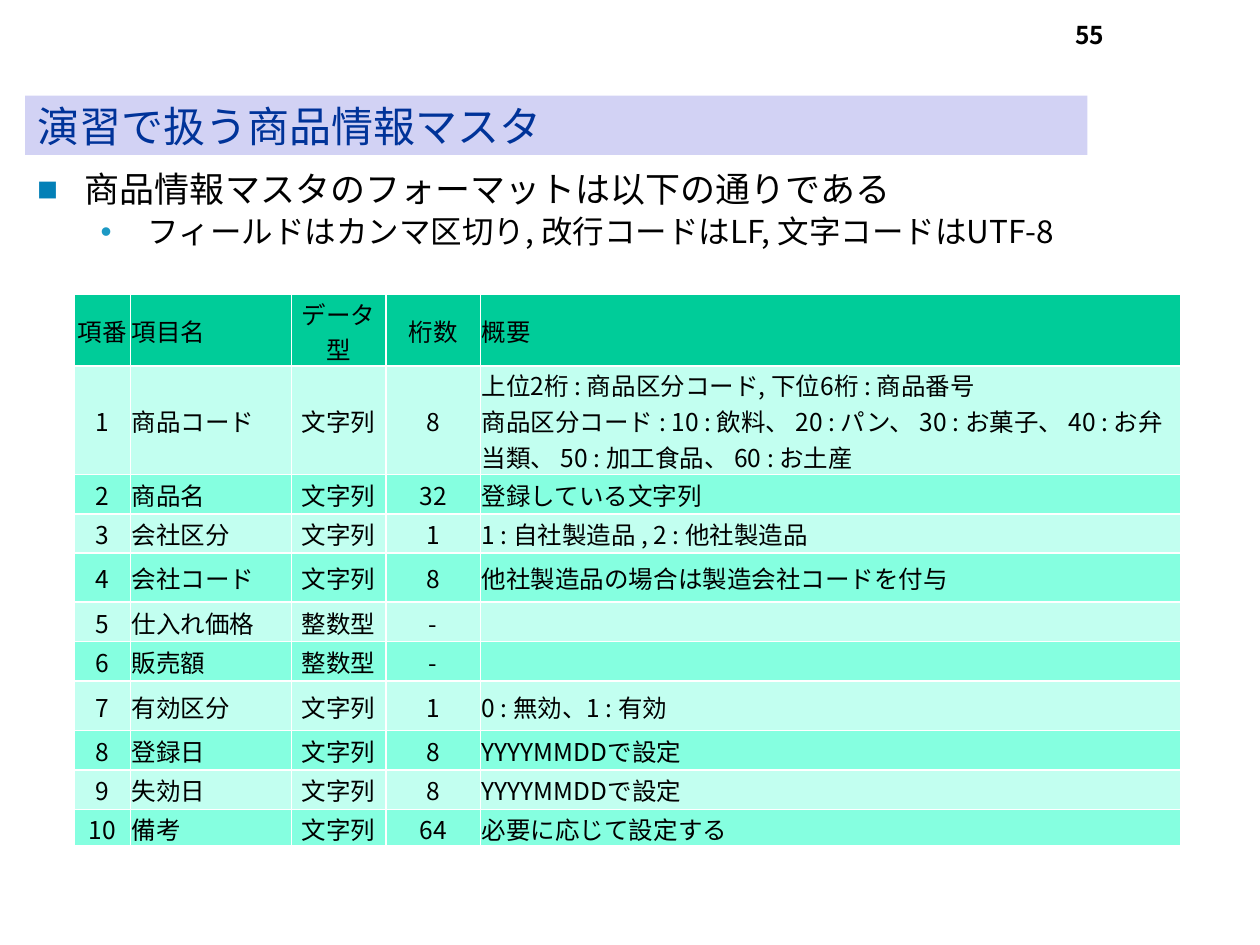
from lxml import etree
from pptx import Presentation
from pptx.dml.color import RGBColor
from pptx.enum import text as t
from pptx.oxml import ns
from pptx.util import Pt

FONT = "Noto Sans CJK JP"
COLORS = {
    "black": "000000", "white": "FFFFFF", "title": "003399", "title_bar": "D2D2F4",
    "square": "0380B7", "dot": "1C99C4",
    "header": "00CC99", "light": "C2FFF0", "dark": "85FFE0",
}
COLUMN_WIDTHS = [32, 92, 54, 54, 400]
ROW_HEIGHTS = [41, 62, 22.4, 22.4, 28.1, 22.6, 22.6, 28.1, 22.6, 22.6, 20.8]
FIELDS = [
    ("項番", "項目名", "データ型", "桁数", "概要"),
    ("1", "商品コード", "文字列", "8",
     "上位2桁 : 商品区分コード, 下位6桁 : 商品番号\v"
     "商品区分コード : 10 : 飲料、 20 : パン、 30 : お菓子、 40 : お弁当類、 50 : 加工食品、 60 : お土産"),
    ("2", "商品名", "文字列", "32", "登録している文字列"),
    ("3", "会社区分", "文字列", "1", "1 : 自社製造品 , 2 : 他社製造品"),
    ("4", "会社コード", "文字列", "8", "他社製造品の場合は製造会社コードを付与"),
    ("5", "仕入れ価格", "整数型", "-", ""),
    ("6", "販売額", "整数型", "-", ""),
    ("7", "有効区分", "文字列", "1", "0 : 無効、1 : 有効"),
    ("8", "登録日", "文字列", "8", "YYYYMMDDで設定"),
    ("9", "失効日", "文字列", "8", "YYYYMMDDで設定"),
    ("10", "備考", "文字列", "64", "必要に応じて設定する"),
]


def rgb(name):
    return RGBColor.from_string(COLORS[name])


def add_xml(parent, tag, **attributes):
    return etree.SubElement(parent, ns.qn(tag), attributes)


def write(paragraph, words, size=14, color="black", bold=False,
          align=t.PP_ALIGN.LEFT, spacing=None, before=None):
    paragraph.text = words
    paragraph.alignment = align
    if spacing:
        paragraph.line_spacing = spacing
    if before:
        paragraph.space_before = Pt(before)
    for run in paragraph.runs:
        run.font.size, run.font.bold, run.font.name = Pt(size), bold, FONT
        run.font.color.rgb = rgb(color)
        add_xml(run.font._element, "a:ea", typeface=FONT)
    for line_break in paragraph._p.findall(ns.qn("a:br")):
        add_xml(line_break, "a:rPr", sz=str(size * 100))
    if not words:
        add_xml(paragraph._p, "a:endParaRPr", sz=str(size * 100))


def set_bullet(paragraph, mark, color, left, hang, percent, font):
    properties = paragraph._p.get_or_add_pPr()
    properties.set("marL", str(Pt(left)))
    properties.set("indent", str(-Pt(hang)))
    add_xml(add_xml(properties, "a:buClr"), "a:srgbClr", val=COLORS[color])
    add_xml(properties, "a:buSzPct", val=str(percent * 1000))
    add_xml(properties, "a:buFont", typeface=font)
    add_xml(properties, "a:buChar", char=mark)


def add_title(slide, left, top, width, height):
    title = slide.shapes.title
    title.left, title.top, title.width, title.height = map(Pt, (left, top, width, height))
    title.fill.solid()
    title.fill.fore_color.rgb = rgb("title_bar")
    frame = title.text_frame
    frame.auto_size = t.MSO_AUTO_SIZE.NONE
    frame.vertical_anchor = t.MSO_ANCHOR.MIDDLE
    frame.margin_top = frame.margin_bottom = 0
    write(frame.paragraphs[0], "演習で扱う商品情報マスタ", size=24, color="title")


def add_text_frame(slide, left, top, width, height):
    frame = slide.shapes.add_textbox(*map(Pt, (left, top, width, height))).text_frame
    frame.word_wrap = True
    return frame


def add_page_number(slide, *box):
    frame = add_text_frame(slide, *box)
    write(frame.paragraphs[0], "55", bold=True, align=t.PP_ALIGN.RIGHT, spacing=0.9)


def add_format_notes(slide, *box):
    frame = add_text_frame(slide, *box)
    summary, encoding = frame.paragraphs[0], frame.add_paragraph()
    set_bullet(summary, "■", "square", 27, 27, 60, FONT)
    write(summary, "商品情報マスタのフォーマットは以下の通りである", size=20, spacing=0.9)
    set_bullet(encoding, "•", "dot", 63, 27, 100, "Arial")
    write(encoding, "フィールドはカンマ区切り, 改行コードはLF, 文字コードはUTF-8",
          size=18, spacing=0.9, before=3.6)


def format_cell(cell, fill):
    cell.margin_left = cell.margin_right = cell.margin_top = Pt(0.72)
    cell.margin_bottom = 0
    cell.vertical_anchor = t.MSO_ANCHOR.MIDDLE
    properties = cell._tc.get_or_add_tcPr()
    for side in ("a:lnL", "a:lnR", "a:lnT", "a:lnB"):
        line = add_xml(properties, side, w=str(Pt(1)))
        add_xml(add_xml(line, "a:solidFill"), "a:srgbClr", val=COLORS["white"])
    cell.fill.solid()
    cell.fill.fore_color.rgb = rgb(fill)


def add_field_table(slide, left, top):
    size = sum(COLUMN_WIDTHS), sum(ROW_HEIGHTS)
    table = slide.shapes.add_table(len(FIELDS), len(COLUMN_WIDTHS),
                                   *map(Pt, (left, top, *size))).table
    table.first_row = table.horz_banding = False
    for column, width in zip(table.columns, COLUMN_WIDTHS):
        column.width = Pt(width)
    for row_index, (row, height, field) in enumerate(zip(table.rows, ROW_HEIGHTS, FIELDS)):
        row.height = Pt(height)
        fill = "header" if row_index == 0 else ("dark", "light")[row_index % 2]
        for column_index, (cell, words) in enumerate(zip(row.cells, field)):
            centred = column_index in (0, 2, 3)
            format_cell(cell, fill)
            write(cell.text_frame.paragraphs[0], words,
                  align=t.PP_ALIGN.CENTER if centred else t.PP_ALIGN.LEFT)


def main():
    deck = Presentation()
    deck.slide_width, deck.slide_height = Pt(720), Pt(540)
    slide = deck.slides.add_slide(deck.slide_layouts[5])
    add_title(slide, 14.4, 54.7, 607, 33.8)
    add_format_notes(slide, 14.4, 95, 692, 62)
    add_page_number(slide, 488, 10, 150, 36)
    add_field_table(slide, 42.6, 168.2)
    deck.save("out.pptx")


if __name__ == "__main__":
    main()
